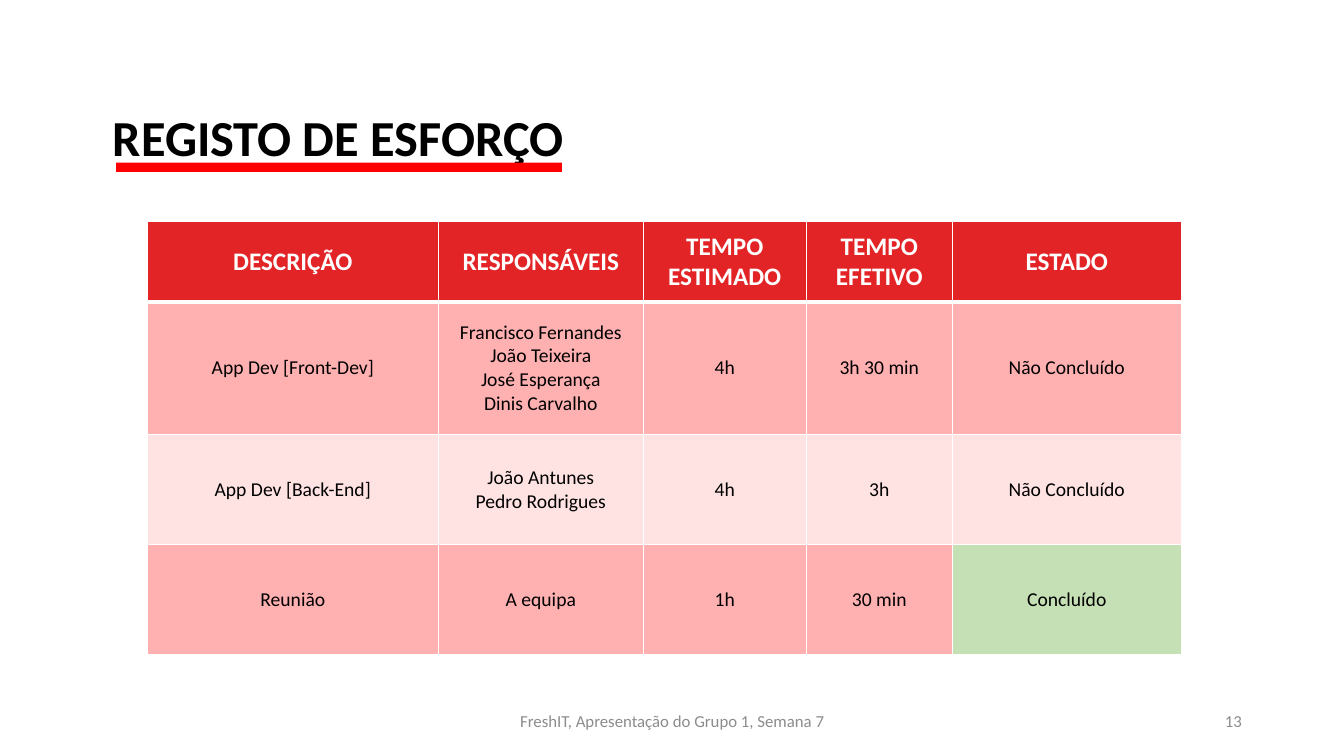
from lxml import etree
from pptx import Presentation
from pptx.dml.color import RGBColor
from pptx.enum.shapes import MSO_SHAPE
from pptx.enum.text import MSO_ANCHOR, MSO_AUTO_SIZE, PP_ALIGN
from pptx.oxml.ns import qn
from pptx.util import Cm, Pt

LEFT, CENTER, RIGHT = PP_ALIGN.LEFT, PP_ALIGN.CENTER, PP_ALIGN.RIGHT
TOP, MIDDLE = MSO_ANCHOR.TOP, MSO_ANCHOR.MIDDLE
RECT, FIXED = MSO_SHAPE.RECTANGLE, MSO_AUTO_SIZE.NONE

RED, ROSE, BLUSH, GREEN = "E32427", "FFB0B1", "FFE3E3", "C5E0B4"
WHITE, BLACK, GRAY = "FFFFFF", "000000", "8C8C8C"


def paint(target, color):
    """Give a fill or a font a solid hex colour."""
    if hasattr(target, "solid"):
        target.solid()
        target.fore_color.rgb = RGBColor.from_string(color)
    else:
        target.color.rgb = RGBColor.from_string(color)


def write(frame, text, align, size, color, bold=False):
    frame.text = text
    for para in frame.paragraphs:
        para.alignment = align
        for name, value in {"name": "Calibri", "size": Pt(size), "bold": bold}.items():
            setattr(para.font, name, value)
        paint(para.font, color)


deck = Presentation()
deck.slide_width, deck.slide_height = Cm(33.87), Cm(19.05)
slide = deck.slides.add_slide(deck.slide_layouts[5])
shapes = slide.shapes

# Title with its red underline
title = shapes.title
place = {"left": 2.59, "top": 2.54, "width": 17.12, "height": 1.8}
for name, value in place.items():
    setattr(title, name, Cm(value))
frame = title.text_frame
for name, value in {"vertical_anchor": TOP, "auto_size": FIXED, "word_wrap": True}.items():
    setattr(frame, name, value)
write(frame, "REGISTO DE ESFORÇO", LEFT, 36, BLACK, True)

bar = shapes.add_shape(RECT, Cm(2.93), Cm(4.1), Cm(11.23), Cm(0.23))
bar.shadow.inherit = False
paint(bar.fill, "FF0000")
bar.line.fill.background()

# Effort table
rows = [
    ["DESCRIÇÃO", "RESPONSÁVEIS", "TEMPO ESTIMADO", "TEMPO EFETIVO", "ESTADO"],
    ["App Dev [Front-Dev]",
     "Francisco Fernandes\nJoão Teixeira\nJosé Esperança\nDinis Carvalho",
     "4h", "3h 30 min", "Não Concluído"],
    ["App Dev [Back-End]", "João Antunes\nPedro Rodrigues", "4h", "3h", "Não Concluído"],
    ["Reunião", "A equipa", "1h", "30 min", "Concluído"],
]
widths = [7.34, 5.16, 4.11, 3.68, 5.77]
heights = [1.98, 3.35, 2.77, 2.77]
fills = [RED, ROSE, BLUSH, ROSE]
inset = {"margin_left": Cm(0.46), "margin_right": Cm(0.46),
         "margin_top": Cm(0.23), "margin_bottom": Cm(0.23),
         "vertical_anchor": MIDDLE}

table = shapes.add_table(len(rows), len(widths), Cm(3.71), Cm(5.59),
                         Cm(sum(widths)), Cm(sum(heights))).table
for col, width in zip(table.columns, widths):
    col.width = Cm(width)
for r, texts in enumerate(rows):
    table.rows[r].height = Cm(heights[r])
    head = r == 0
    edges = {"lnL": 1, "lnR": 1, "lnT": 3 if r == 1 else 1, "lnB": 3 if head else 1}
    for c, text in enumerate(texts):
        cell = table.cell(r, c)
        for name, value in inset.items():
            setattr(cell, name, value)
        write(cell.text_frame, text, CENTER, 18 if head else 14,
              WHITE if head else BLACK, head)
        paint(cell.fill, GREEN if text == "Concluído" else fills[r])
        props = cell._tc.get_or_add_tcPr()
        for i, (edge, points) in enumerate(edges.items()):
            line = etree.Element(qn("a:" + edge), w=str(Pt(points)))
            solid = etree.SubElement(line, qn("a:solidFill"))
            etree.SubElement(solid, qn("a:srgbClr"), val=WHITE)
            props.insert(i, line)

# Footer and page number
for text, left, width, align in [
    ("13", 23.93, 7.62, RIGHT),
    ("FreshIT, Apresentação do Grupo 1, Semana 7", 11.23, 11.43, CENTER),
]:
    frame = shapes.add_textbox(Cm(left), Cm(17.65), Cm(width), Cm(1.02)).text_frame
    frame.word_wrap = True
    frame.vertical_anchor = MIDDLE
    write(frame, text, align, 12, GRAY)

deck.save("out.pptx")
